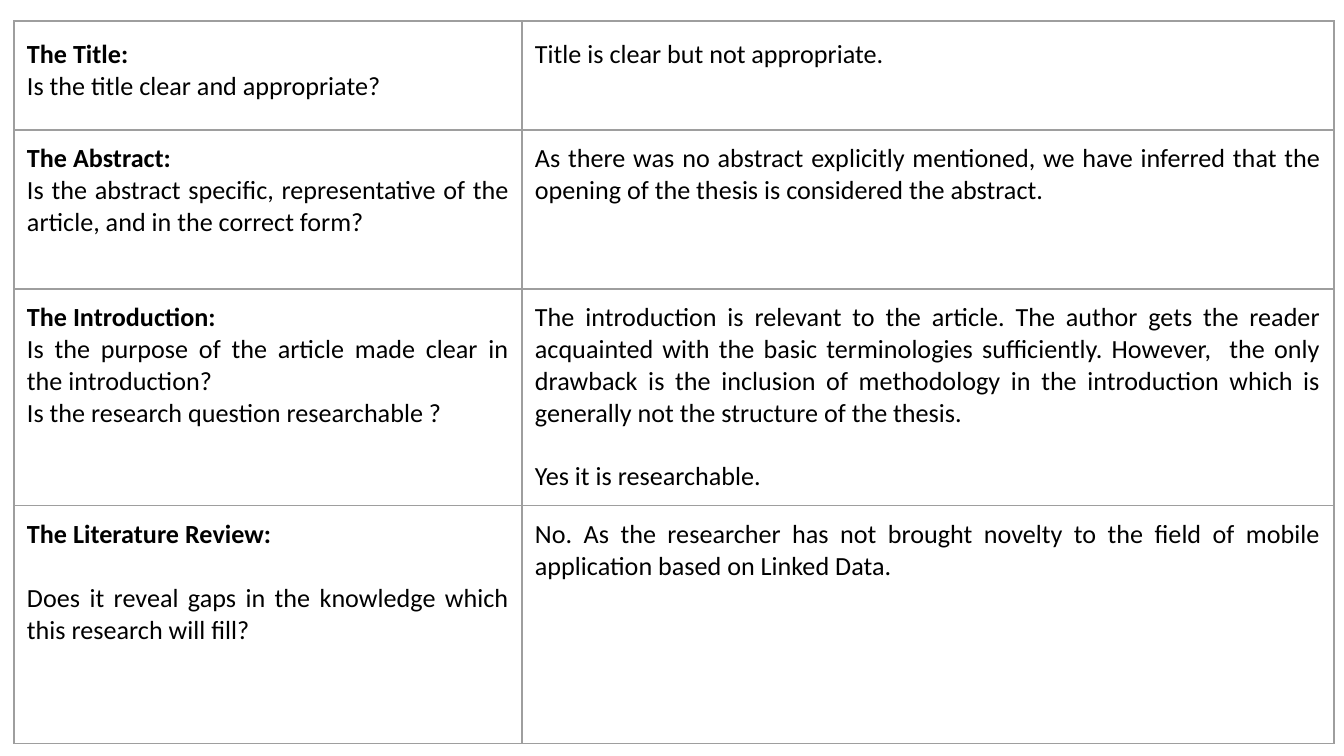
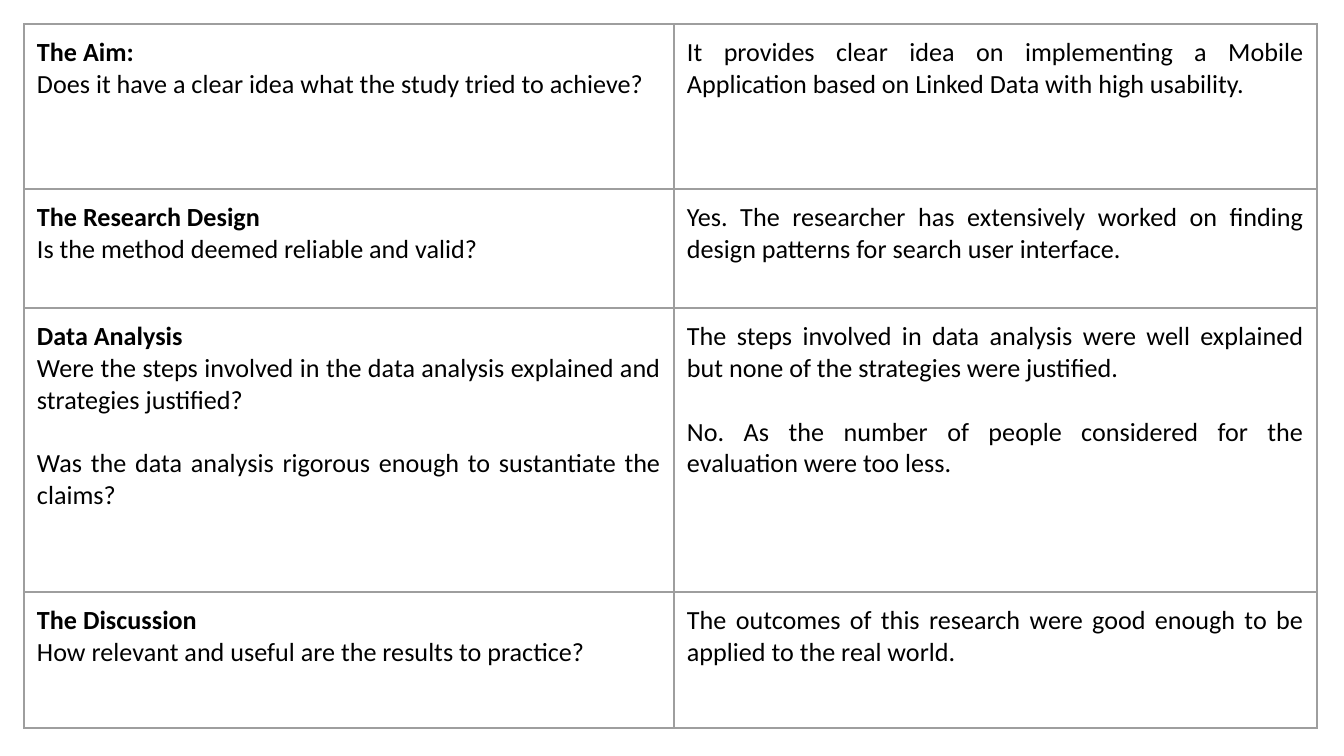
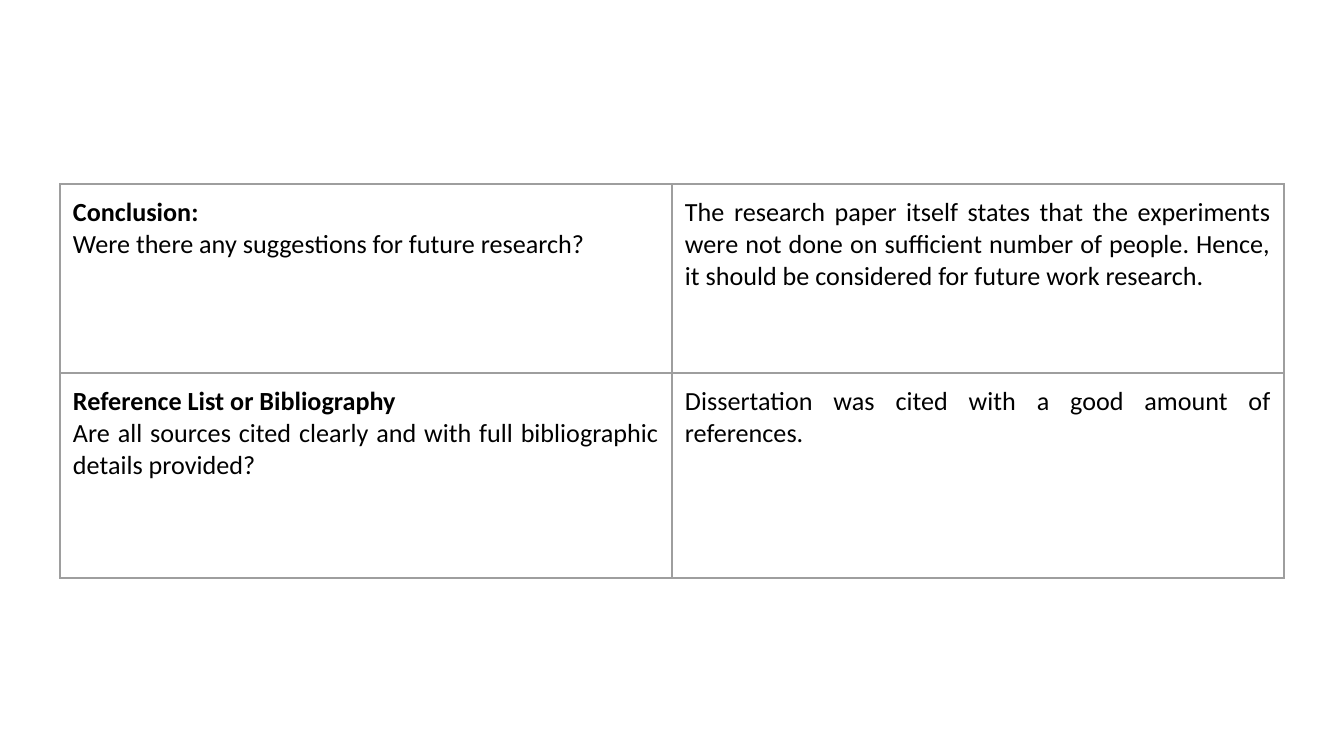
from dataclasses import dataclass

from lxml import etree
from pptx import Presentation
from pptx.dml.color import RGBColor
from pptx.enum.text import MSO_ANCHOR, PP_ALIGN
from pptx.oxml.ns import qn
from pptx.slide import Slide
from pptx.table import _Cell
from pptx.text.text import TextFrame
from pptx.util import Emu, Pt

JUSTIFY = PP_ALIGN.JUSTIFY
TOP = MSO_ANCHOR.TOP
SLIDE_WIDTH, SLIDE_HEIGHT = 1344, 756
EMU_PER_PX = 9144000 / SLIDE_WIDTH
BLANK_LAYOUT = 6
BORDER_TAGS = ("a:lnL", "a:lnR", "a:lnT", "a:lnB")


@dataclass(frozen=True)
class Theme:
    font: str = "Calibri"
    text_size: int = 14
    text_color: str = "000000"
    border_color: str = "9E9E9E"
    border_width: float = 0.75
    cell_inset: int = 13
    paragraph_gap: int = 17


@dataclass(frozen=True)
class Line:
    text: str
    gap_before: bool = False


@dataclass(frozen=True)
class Criterion:
    heading: str
    questions: tuple[Line, ...]
    answers: tuple[Line, ...]
    height: int
    heading_spacing: float = 1.0


@dataclass(frozen=True)
class ReviewTable:
    left: int
    top: int
    column_widths: tuple[int, int]
    criteria: tuple[Criterion, ...]


THEME = Theme()

REVIEW_TABLES = (
    ReviewTable(14, 21, (508, 812), (
        Criterion(
            "The Title:",
            (Line("Is the title clear and appropriate?"),),
            (Line("Title is clear but not appropriate."),),
            109, heading_spacing=1.15),
        Criterion(
            "The Abstract:",
            (Line("Is the abstract specific, representative of the article, "
                  "and in the correct form?"),),
            (Line("As there was no abstract explicitly mentioned, we have inferred "
                  "that the opening of the thesis is considered the abstract."),),
            159),
        Criterion(
            "The Introduction:",
            (Line("Is the purpose of the article made clear in the introduction?"),
             Line("Is the research question researchable ?")),
            (Line("The introduction is relevant to the article. The author gets the "
                  "reader acquainted with the basic terminologies sufficiently. "
                  "However,  the only drawback is the inclusion of methodology in the "
                  "introduction which is generally not the structure of the thesis."),
             Line("Yes it is researchable.", gap_before=True)),
            217),
        Criterion(
            "The Literature Review:",
            (Line("Does it reveal gaps in the knowledge which this research will fill?",
                  gap_before=True),),
            (Line("No. As the researcher has not brought novelty to the field of "
                  "mobile application based on Linked Data."),),
            238),
    )),
    ReviewTable(24, 24, (650, 643), (
        Criterion(
            "The Aim:",
            (Line("Does it have a clear idea what the study tried to achieve?"),),
            (Line("It provides clear idea on implementing a Mobile Application based "
                  "on Linked Data with high usability."),),
            165),
        Criterion(
            "The Research Design",
            (Line("Is the method deemed reliable and valid?"),),
            (Line("Yes. The researcher has extensively worked on finding design "
                  "patterns for search user interface."),),
            119),
        Criterion(
            "Data Analysis",
            (Line("Were the steps involved in the data analysis explained and "
                  "strategies justified?"),
             Line("Was the data analysis rigorous enough to sustantiate the claims?",
                  gap_before=True)),
            (Line("The steps involved in data analysis were well explained but none "
                  "of the strategies were justified."),
             Line("No. As the number of people considered for the evaluation were "
                  "too less.", gap_before=True)),
            284),
        Criterion(
            "The Discussion",
            (Line("How relevant and useful are the results to practice?"),),
            (Line("The outcomes of this research were good enough to be applied to "
                  "the real world."),),
            136),
    )),
    ReviewTable(60, 184, (612, 612), (
        Criterion(
            "Conclusion:",
            (Line("Were there any suggestions for future research?"),),
            (Line("The research paper itself states that the experiments were not "
                  "done on sufficient number of people. Hence, it should be considered "
                  "for future work research."),),
            189),
        Criterion(
            "Reference List or Bibliography",
            (Line("Are all sources cited clearly and with full bibliographic details "
                  "provided?"),),
            (Line("Dissertation was cited with a good amount of references."),),
            205),
    )),
)


def px(length: int) -> Emu:
    return Emu(round(length * EMU_PER_PX))


def write_text(frame: TextFrame, text: str, *, bold: bool = False,
               spacing: float = 1.0, gap_before: bool = False) -> None:
    first = frame.paragraphs[0]
    paragraph = frame.add_paragraph() if first.runs else first
    paragraph.alignment = JUSTIFY
    paragraph.line_spacing = spacing
    paragraph.space_before = Pt(THEME.paragraph_gap if gap_before else 0)
    run = paragraph.add_run()
    run.text = text
    run.font.name = THEME.font
    run.font.size = Pt(THEME.text_size)
    run.font.bold = bold
    run.font.color.rgb = RGBColor.from_string(THEME.text_color)


def style_cell(cell: _Cell) -> None:
    inset = px(THEME.cell_inset)
    cell.margin_left = cell.margin_right = inset
    cell.margin_top = cell.margin_bottom = inset
    cell.vertical_anchor = TOP
    properties = cell._tc.get_or_add_tcPr()
    for tag in BORDER_TAGS:
        border = etree.SubElement(properties, qn(tag), w=str(Pt(THEME.border_width)))
        fill = etree.SubElement(border, qn("a:solidFill"))
        etree.SubElement(fill, qn("a:srgbClr"), val=THEME.border_color)
    cell.fill.background()


def write_lines(cell: _Cell, lines: tuple[Line, ...], spacing: float = 1.0) -> None:
    for line in lines:
        write_text(cell.text_frame, line.text, spacing=spacing,
                   gap_before=line.gap_before)


def draw_review_table(slide: Slide, review: ReviewTable) -> None:
    total_height = sum(criterion.height for criterion in review.criteria)
    table = slide.shapes.add_table(
        len(review.criteria), len(review.column_widths), px(review.left),
        px(review.top), px(sum(review.column_widths)), px(total_height)).table
    table.first_row = False
    table.horz_banding = False
    for column, width in zip(table.columns, review.column_widths):
        column.width = px(width)
    for row, criterion in zip(table.rows, review.criteria):
        row.height = px(criterion.height)
        question_cell, answer_cell = row.cells
        style_cell(question_cell)
        style_cell(answer_cell)
        write_text(question_cell.text_frame, criterion.heading, bold=True,
                   spacing=criterion.heading_spacing)
        write_lines(question_cell, criterion.questions)
        write_lines(answer_cell, criterion.answers, criterion.heading_spacing)


def main() -> None:
    presentation = Presentation()
    presentation.slide_width = px(SLIDE_WIDTH)
    presentation.slide_height = px(SLIDE_HEIGHT)
    for review in REVIEW_TABLES:
        slide = presentation.slides.add_slide(presentation.slide_layouts[BLANK_LAYOUT])
        draw_review_table(slide, review)
    presentation.save("out.pptx")


if __name__ == "__main__":
    main()
